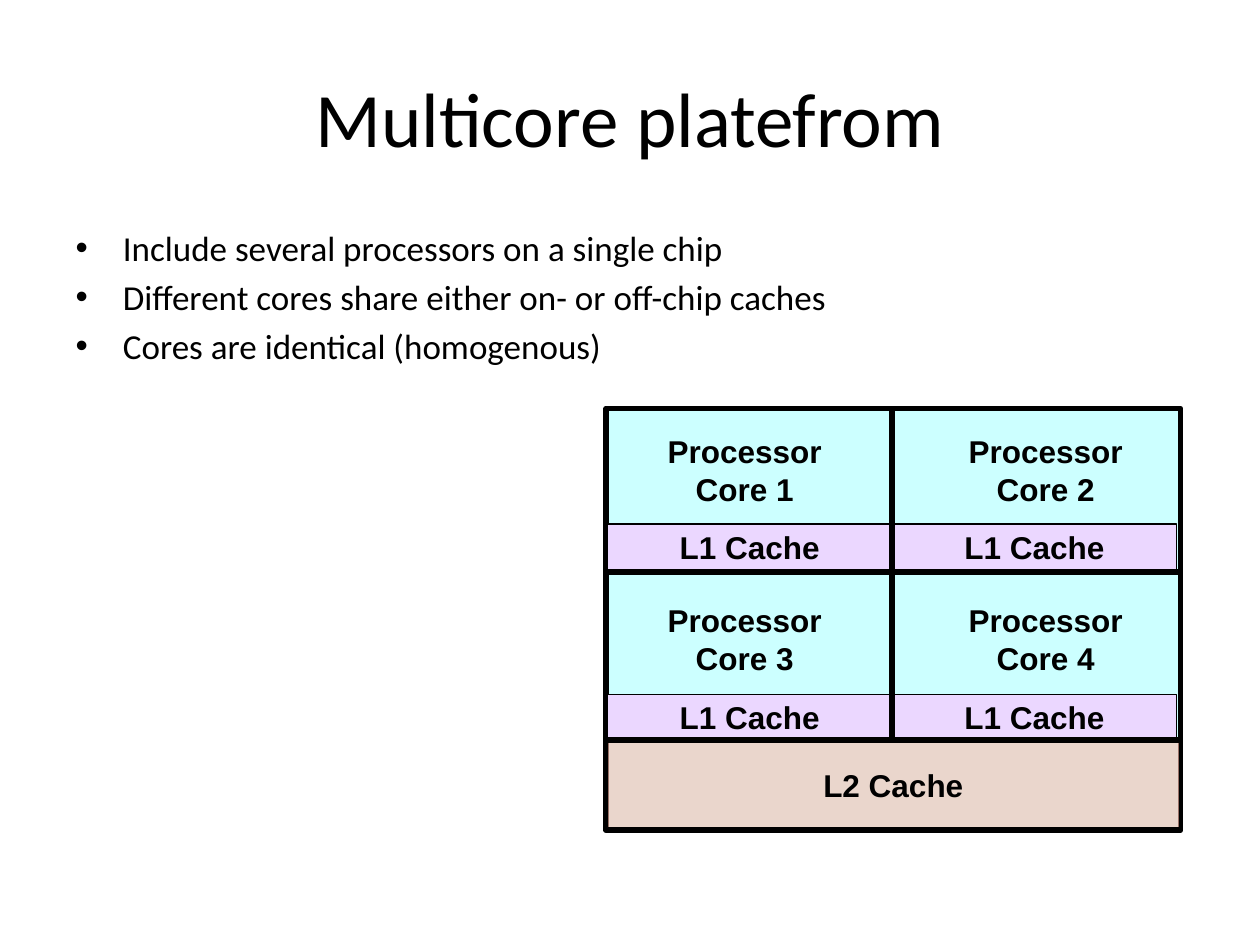
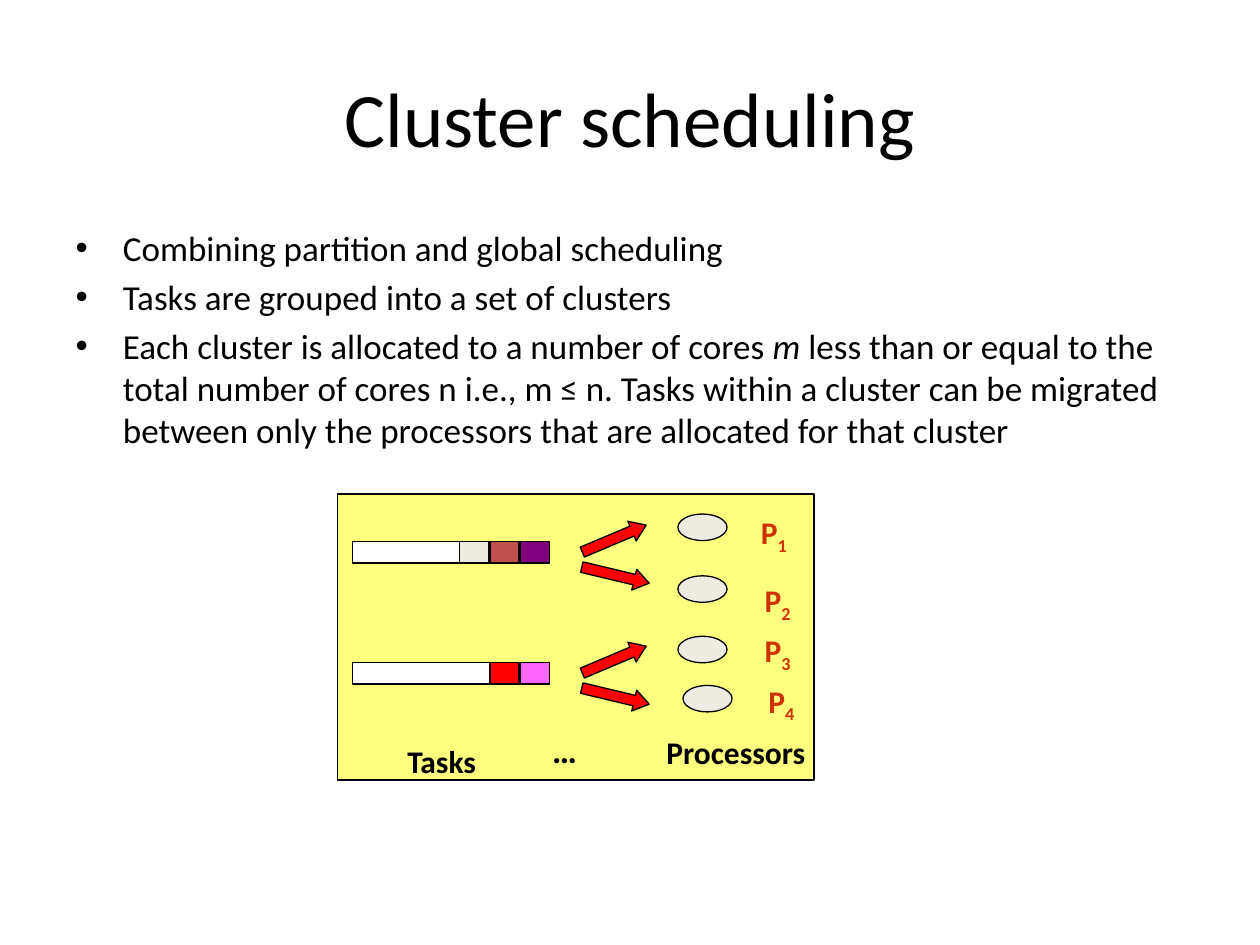
from lxml import etree
from pptx import Presentation
from pptx.dml.color import RGBColor
from pptx.enum.shapes import MSO_CONNECTOR, MSO_SHAPE
from pptx.enum.text import MSO_ANCHOR, PP_ALIGN
from pptx.oxml.ns import qn
from pptx.util import Inches, Pt

RECT, OVAL, ARROW = MSO_SHAPE.RECTANGLE, MSO_SHAPE.OVAL, MSO_SHAPE.RIGHT_ARROW
LINE = MSO_CONNECTOR.STRAIGHT
MID, TOP = MSO_ANCHOR.MIDDLE, MSO_ANCHOR.TOP
LEFT, CENTER = PP_ALIGN.LEFT, PP_ALIGN.CENTER

COLORS = {
    "ink": "000000", "white": "FFFFFF", "core": "CCFFFF", "cache": "EBD7FF",
    "shared": "FEBCAA", "panel": "FFFF00", "sand": "EEECE1", "brick": "C0504D",
    "plum": "800080", "red": "FF0000", "pink": "FF66FF", "label": "CC3300",
}


def rgb(name):
    """Return the named colour."""
    return RGBColor.from_string(COLORS[name])


def style(par, size, font, color="ink", bold=None):
    """Format every run of a paragraph."""
    for run in par.runs:
        run.font.size = Pt(size)
        run.font.name = font
        run.font.bold = bold
        run.font.color.rgb = rgb(color)


def place(shape, left, top, width, height):
    """Move and size a shape, in inches."""
    shape.left, shape.top = Inches(left), Inches(top)
    shape.width, shape.height = Inches(width), Inches(height)


def start(deck, title, points):
    """Add a slide with its title and bullets, each a list of run texts."""
    slide = deck.slides.add_slide(deck.slide_layouts[1])
    head, body = slide.placeholders
    place(head, 0.5, 0.3, 9, 1.25)
    head.text_frame.text = title
    style(head.text_frame.paragraphs[0], 44, "Calibri")
    place(body, 0.5, 1.75, 9, 4.95)
    frame = body.text_frame
    for i, parts in enumerate(points):
        par = frame.paragraphs[0] if i == 0 else frame.add_paragraph()
        for part in parts:
            par.add_run().text = part
        style(par, 20, "Calibri")
    return slide


def add_box(slide, kind, left, top, width, height, fill, alpha=100, line=0.75):
    """Add an outlined preset shape, see-through if alpha is below 100."""
    box = slide.shapes.add_shape(
        kind, Inches(left), Inches(top), Inches(width), Inches(height))
    box.shadow.inherit = False
    box.fill.solid()
    box.fill.fore_color.rgb = rgb(fill)
    box.line.color.rgb = rgb("ink")
    box.line.width = Pt(line)
    if alpha < 100:
        color = box._element.spPr.find(".//" + qn("a:srgbClr"))
        etree.SubElement(color, qn("a:alpha")).set("val", str(alpha * 1000))
    return box


def write(shape, text, size=18, font="Arial", color="ink", align=CENTER, anchor=MID):
    """Put bold unwrapped text into a shape."""
    frame = shape.text_frame
    frame.text = text
    frame.word_wrap = False
    frame.vertical_anchor = anchor
    for par in frame.paragraphs:
        par.alignment = align
        style(par, size, font, color, True)


def add_text(slide, left, top, width, height, text, **look):
    """Add a text box."""
    box = slide.shapes.add_textbox(
        Inches(left), Inches(top), Inches(width), Inches(height))
    write(box, text, anchor=TOP, **look)
    return box


def add_rule(slide, x1, y1, x2, y2):
    """Add a thick black line."""
    rule = slide.shapes.add_connector(
        LINE, Inches(x1), Inches(y1), Inches(x2), Inches(y2))
    rule.line.color.rgb = rgb("ink")
    rule.line.width = Pt(3)
    etree.SubElement(rule._element.spPr, qn("a:effectLst"))


def add_chip(slide):
    """Draw four cores with their caches."""
    add_box(slide, RECT, 4.81, 3.24, 4.56, 3.35, "core", line=3)
    for row, top in enumerate((4.16, 5.51)):
        for col, left in enumerate((4.82, 7.08)):
            write(add_box(slide, RECT, left, top, 2.26, 0.36, "cache"), "L1 Cache")
            add_text(slide, (5.19, 7.58)[col], (3.38, 4.72)[row], 1.44, 0.7,
                     f"Processor\nCore {2 * row + col + 1}")
    for y in (4.54, 5.87):
        add_rule(slide, 4.81, y, 9.37, y)
    add_rule(slide, 7.08, 3.24, 7.08, 5.89)
    write(add_box(slide, RECT, 4.82, 5.89, 4.54, 0.68, "shared", 60), "L2 Cache")


def add_queue(slide, top, tasks):
    """Draw a task queue, filled from the right, and its two arrows."""
    add_box(slide, RECT, 2.8, top, 1.48, 0.17, "white")
    for i, color in enumerate(tasks):
        left = 4.13 - 0.24 * (len(tasks) - 1 - i)
        add_box(slide, RECT, left, top, 0.23, 0.17, color)
    for left, drop, turn in ((4.6, -0.11, 337.1), (4.61, 0.18, 13.4)):
        arrow = add_box(slide, ARROW, left, top + drop, 0.55, 0.17, "red")
        arrow.adjustments[1] = 0.716
        arrow.rotation = turn


def add_node(slide, num, left, top, x, y):
    """Draw a processor and its label with a subscript."""
    add_box(slide, OVAL, left, top, 0.39, 0.21, "sand")
    look = {"font": "Calibri", "color": "label", "align": LEFT}
    par = add_text(slide, x, y, 0.44, 0.35, "P", **look).text_frame.paragraphs[0]
    sub = par.add_run()
    sub.text = str(num)
    style(par, 18, "Calibri", "label", True)
    sub._r.get_or_add_rPr().set("baseline", "-25000")


def add_cluster(slide):
    """Draw the task queues and the processors they feed."""
    add_box(slide, RECT, 2.68, 3.92, 3.78, 2.27, "panel", 50)
    add_queue(slide, 4.3, ("sand", "brick", "plum"))
    add_queue(slide, 5.26, ("red", "pink"))
    nodes = ((5.38, 4.08, 5.94, 4.02), (5.38, 4.57, 5.97, 4.56),
             (5.38, 5.05, 5.97, 4.96), (5.42, 5.44, 6, 5.36))
    for num, spot in enumerate(nodes, 1):
        add_node(slide, num, *spot)
    add_text(slide, 4.17, 5.73, 0.62, 0.38, "…", size=20, font="Calibri")
    add_text(slide, 2.98, 5.84, 1.05, 0.35, "Tasks", font="Calibri")
    add_text(slide, 5.04, 5.77, 1.6, 0.35, "Processors", font="Calibri")


def main():
    """Build and save both slides."""
    deck = Presentation()
    deck.slide_width, deck.slide_height = Inches(10), Inches(7.5)
    add_chip(start(deck, "Multicore platefrom", [
        ["Include several processors on a single chip"],
        ["Different cores share either on- or off-chip caches"],
        ["Cores are identical (homogenous)"],
    ]))
    slide = start(deck, "Cluster scheduling", [
        ["Combining partition and global scheduling"],
        ["Tasks are grouped into a set of clusters"],
        ["Each cluster is allocated to a number of cores ", "m",
         " less than or equal to the total number of cores n i.e., m ≤ n. "
         "Tasks within a cluster can be migrated between only the processors "
         "that are allocated for that cluster"],
    ])
    last = slide.placeholders[1].text_frame.paragraphs[2]
    last.runs[1].font.italic = True
    add_cluster(slide)
    deck.save("out.pptx")


main()
